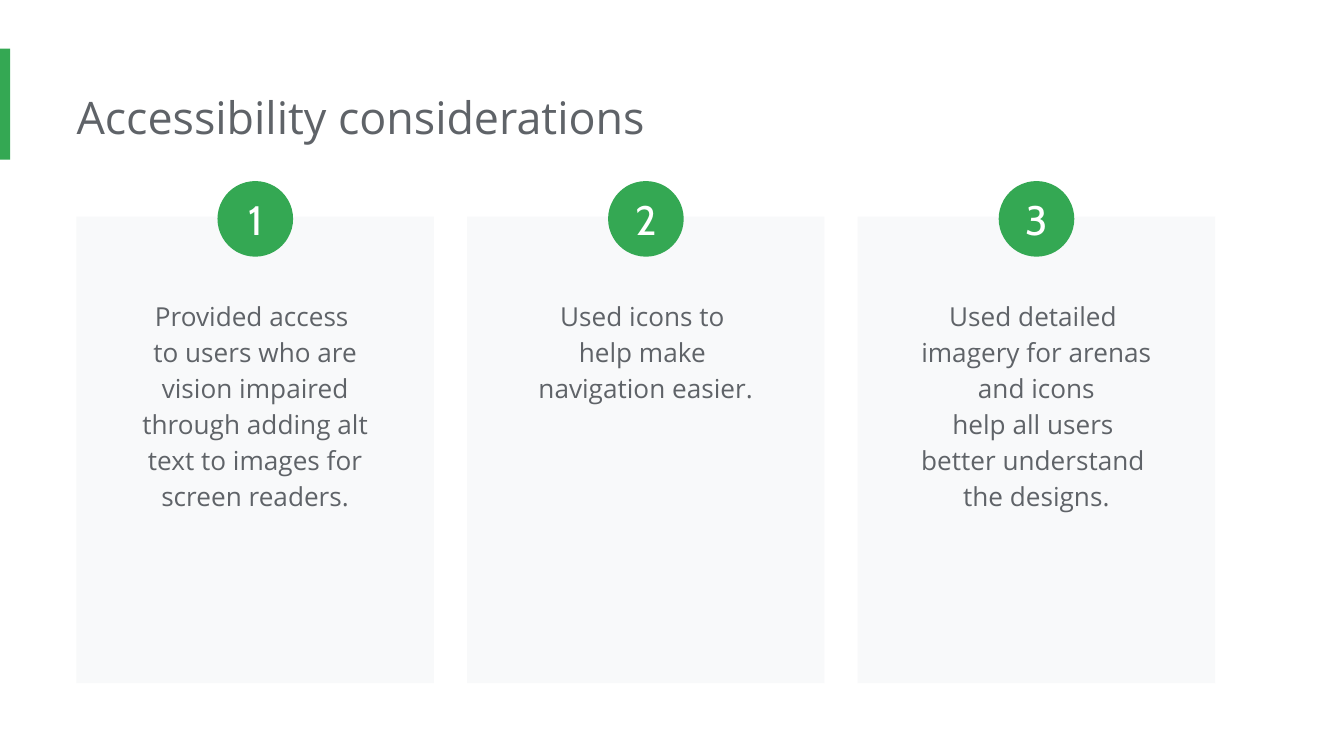
from copy import deepcopy
from dataclasses import dataclass

from pptx import Presentation
from pptx.dml.color import RGBColor
from pptx.enum.shapes import MSO_SHAPE
from pptx.enum.text import MSO_ANCHOR, MSO_AUTO_SIZE, PP_ALIGN
from pptx.oxml.ns import qn
from pptx.slide import Slide
from pptx.util import Pt

RECT, OVAL = MSO_SHAPE.RECTANGLE, MSO_SHAPE.OVAL
TOP, MIDDLE = MSO_ANCHOR.TOP, MSO_ANCHOR.MIDDLE
GROW, FIXED = MSO_AUTO_SIZE.SHAPE_TO_FIT_TEXT, MSO_AUTO_SIZE.NONE
LEFT, CENTER = PP_ALIGN.LEFT, PP_ALIGN.CENTER

COLORS = {"green": "34A853", "gray": "5F6368", "card": "F8F9FA", "white": "FFFFFF"}


@dataclass
class Box:
    x: float
    y: float
    w: float
    h: float

    def lengths(self) -> list[Pt]:
        return [Pt(v) for v in (self.x, self.y, self.w, self.h)]


@dataclass
class Style:
    font: str
    size: float
    color: str
    align: PP_ALIGN
    anchor: MSO_ANCHOR
    fit: MSO_AUTO_SIZE
    inset: tuple[float, float, float, float]  # left, top, right, bottom
    space: float = 1.0


@dataclass
class Card:
    text: str
    height: float


HEAD = Style("Open Sans", 24, "gray", LEFT, TOP, GROW, (0, 7.2, 7.2, 7.2))
BODY = Style("Open Sans", 14, "gray", CENTER, TOP, GROW, (7.2,) * 4, 1.15)
BADGE = Style("Cabin", 22, "white", CENTER, MIDDLE, FIXED, (0,) * 4)

CARDS = [
    Card("Provided access \nto users who are vision impaired through adding "
         "alt text to images for screen readers.", 146),
    Card("Used icons to \nhelp make \nnavigation easier.", 88),
    Card("Used detailed \nimagery for arenas and icons\nhelp all users \n"
         "better understand \nthe designs.", 146),
]

# Card grid
EDGE, WIDTH, STEP = 41, 191.5, 209.25
CARD_TOP, CARD_H = 116, 250
TEXT_TOP, TEXT_W = 151.2, 161.3
DOT_TOP, DOT = 97, 40.5


def put_text(shape, text: str, style: Style) -> None:
    frame = shape.text_frame
    left, top, right, bottom = map(Pt, style.inset)
    layout = {
        "word_wrap": True, "auto_size": style.fit, "vertical_anchor": style.anchor,
        "margin_left": left, "margin_top": top,
        "margin_right": right, "margin_bottom": bottom,
    }
    for name, value in layout.items():
        setattr(frame, name, value)
    para = frame.paragraphs[0]
    para.text = text
    para.alignment, para.line_spacing = style.align, style.space
    for run in para.runs:
        for name, value in {"name": style.font, "size": Pt(style.size),
                            "bold": False}.items():
            setattr(run.font, name, value)
        run.font.color.rgb = RGBColor.from_string(COLORS[style.color])
    # Line breaks take the same font as the text
    for gap in para._p.findall(qn("a:br")):
        gap.append(deepcopy(para.runs[0]._r.rPr))


def add_block(slide: Slide, kind: MSO_SHAPE, box: Box, color: str):
    shape = slide.shapes.add_shape(kind, *box.lengths())
    shape.shadow.inherit = False
    shape.fill.solid()
    shape.fill.fore_color.rgb = RGBColor.from_string(COLORS[color])
    shape.line.fill.background()
    return shape


def add_card(slide: Slide, x: float, card: Card) -> None:
    add_block(slide, RECT, Box(x, CARD_TOP, WIDTH, CARD_H), "card")
    area = Box(x + (WIDTH - TEXT_W) / 2, TEXT_TOP, TEXT_W, card.height)
    put_text(slide.shapes.add_textbox(*area.lengths()), card.text, BODY)


def add_badge(slide: Slide, x: float, num: int) -> None:
    area = Box(x + (WIDTH - DOT) / 2, DOT_TOP, DOT, DOT)
    put_text(add_block(slide, OVAL, area, "green"), str(num), BADGE)


def main() -> None:
    deck = Presentation()
    deck.slide_width, deck.slide_height = Pt(720), Pt(405)
    slide = deck.slides.add_slide(deck.slide_layouts[5])

    # Accent bar and title
    add_block(slide, RECT, Box(0, 26, 5.5, 59.5), "green")
    title = slide.shapes.title
    title.left, title.top, title.width, title.height = Box(EDGE, 41, 551.5, 44).lengths()
    put_text(title, "Accessibility considerations", HEAD)

    # Cards, then the numbered badges over them
    spots = [EDGE + i * STEP for i in range(len(CARDS))]
    for x, card in zip(spots, CARDS):
        add_card(slide, x, card)
    for num, x in enumerate(spots, 1):
        add_badge(slide, x, num)

    deck.save("out.pptx")


if __name__ == "__main__":
    main()
